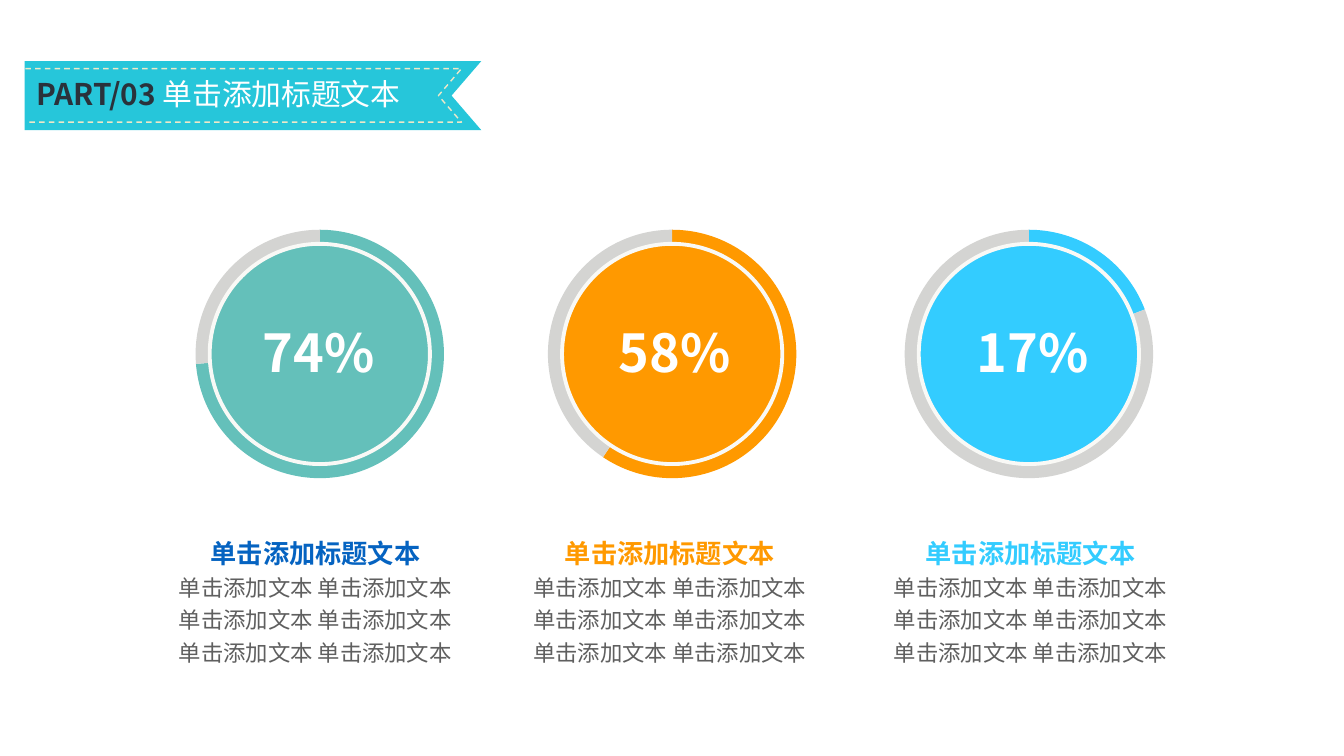
from lxml.etree import SubElement
from pptx import Presentation
from pptx.dml.color import RGBColor
from pptx.enum.dml import MSO_LINE
from pptx.enum.shapes import MSO_SHAPE
from pptx.enum.text import MSO_ANCHOR, MSO_AUTO_SIZE, PP_ALIGN
from pptx.oxml.ns import qn
from pptx.util import Cm, Pt

COLORS = {
    "banner": "26C6DA", "stitch": "EDE8C8", "part": "2A323B",
    "white": "FFFFFF", "rest": "D4D4D2", "rim": "F9F9F6",
    "teal": "64C0BA", "blue": "0563C1", "orange": "FF9900",
    "sky": "33CCFF", "body": "5F5F5F",
}
CJK_FONT = "Noto Sans CJK SC"
FORMATS = {
    "part": {"size": Pt(21.3), "bold": True, "name": CJK_FONT},
    "title": {"size": Pt(21.3), "bold": False, "name": "Arial"},
    "percent": {"size": Pt(37.3), "bold": True, "name": CJK_FONT},
    "heading": {"size": Pt(18.7), "bold": True, "name": "Arial"},
    "body": {"size": Pt(16), "bold": False, "name": "Arial"},
}
FRAME = {
    "word_wrap": False,
    "auto_size": MSO_AUTO_SIZE.SHAPE_TO_FIT_TEXT,
    "vertical_anchor": MSO_ANCHOR.TOP,
}

HEADING = "单击添加标题文本"
BODY_LINES = ["单击添加文本 单击添加文本"] * 3

# Ring geometry in centimetres
RING_Y, RING_SIZE, BAND_WIDTH, DISC_SIZE = 8.92, 6.26, 0.54, 5.55
# Block arc angles are stored in 60000ths of a degree, adjustments in 100000ths
ANGLE_UNIT = 0.6

# label, degrees filled, ring colour, heading colour, centres of ring, label, caption
GAUGES = [
    ("74%", 265.4, "teal", "blue", 8.06, 8.03, 7.95),
    ("58%", 213.8, "orange", "orange", 16.94, 17, 16.88),
    ("17%", 69, "sky", "sky", 25.93, 26.02, 25.97),
]


def rgb(color):
    return RGBColor.from_string(COLORS[color])


def apply(target, values):
    for name, value in values.items():
        setattr(target, name, value)


def paint(shape, fill=None, line=None, width=1):
    shape.shadow.inherit = False
    if fill:
        shape.fill.solid()
        shape.fill.fore_color.rgb = rgb(fill)
    else:
        shape.fill.background()
    if line:
        shape.line.color.rgb = rgb(line)
        shape.line.width = Pt(width)
    else:
        shape.line.fill.background()


def add_outline(shapes, points, close=True, **style):
    start, *others = [(Cm(x), Cm(y)) for x, y in points]
    builder = shapes.build_freeform(*start)
    builder.add_line_segments(others, close=close)
    outline = builder.convert_to_shape()
    paint(outline, **style)
    return outline


def add_round(shapes, kind, center, size, **style):
    shape = shapes.add_shape(kind, Cm(center - size / 2), Cm(RING_Y - size / 2),
                             Cm(size), Cm(size))
    paint(shape, **style)
    return shape


def add_run(paragraph, text, style, color):
    run = paragraph.add_run()
    run.text = text
    run.font.color.rgb = rgb(color)
    apply(run.font, FORMATS[style])
    SubElement(run.font._element, qn("a:ea"), typeface=CJK_FONT)


def add_centred_text(slide, center, top, width, height, lines, spacing=None):
    box = slide.shapes.add_textbox(
        Cm(center - width / 2), Cm(top), Cm(width), Cm(height))
    frame = box.text_frame
    apply(frame, FRAME)
    for index, line in enumerate(lines):
        paragraph = frame.add_paragraph() if index else frame.paragraphs[0]
        paragraph.alignment = PP_ALIGN.CENTER
        paragraph.line_spacing = spacing
        add_run(paragraph, *line)


def add_band(shapes, center, start, end, color):
    """Part of a ring, with angles in degrees clockwise from the top."""
    band = add_round(shapes, MSO_SHAPE.BLOCK_ARC, center, RING_SIZE, fill=color)
    band.adjustments[0] = (start - 90) % 360 * ANGLE_UNIT
    band.adjustments[1] = (end - 90) % 360 * ANGLE_UNIT
    band.adjustments[2] = BAND_WIDTH / RING_SIZE


def add_gauge(slide, center, degrees, color):
    ring = slide.shapes.add_group_shape().shapes
    add_band(ring, center, 0, degrees, color)
    add_band(ring, center, degrees, 360, "rest")
    add_round(slide.shapes, MSO_SHAPE.OVAL, center, DISC_SIZE,
              fill=color, line="rim", width=2.75)


def add_banner(slide):
    banner = slide.shapes.add_group_shape().shapes
    add_outline(banner, [(12.13, 3.28), (0.62, 3.28), (0.62, 1.54),
                         (12.13, 1.54), (11.38, 2.41)], fill="banner")
    stitch = add_outline(banner, [(0.64, 1.73), (11.63, 1.73), (11.05, 2.41),
                                  (11.63, 3.08), (0.64, 3.08)],
                         close=False, line="stitch")
    stitch.line.dash_style = MSO_LINE.DASH


def fill_title(slide):
    title = slide.shapes.title
    apply(title, {"left": Cm(0.66), "top": Cm(1.78),
                  "width": Cm(10.13), "height": Cm(1.17)})
    apply(title.text_frame, FRAME)
    paragraph = title.text_frame.paragraphs[0]
    paragraph.alignment = PP_ALIGN.LEFT
    add_run(paragraph, "PART/03 ", "part", "part")
    add_run(paragraph, HEADING, "title", "white")
    # Bring the title in front of the banner
    title.element.getparent().append(title.element)


def main():
    prs = Presentation()
    prs.slide_width, prs.slide_height = Cm(33.87), Cm(19.05)
    slide = prs.slides.add_slide(prs.slide_layouts[5])

    # Header
    add_banner(slide)
    fill_title(slide)

    # Gauges
    for _, degrees, color, _, ring_x, _, _ in GAUGES:
        add_gauge(slide, ring_x, degrees, color)

    # Labels and captions
    for label, _, _, accent, _, label_x, caption_x in GAUGES:
        add_centred_text(slide, label_x, 7.95, 3.38, 1.85,
                         [(label, "percent", "white")])
        caption = [(HEADING, "heading", accent)]
        caption += [(line, "body", "body") for line in BODY_LINES]
        add_centred_text(slide, caption_x, 13.26, 7.52, 3.68, caption, 1.2)

    prs.save("out.pptx")


if __name__ == "__main__":
    main()
